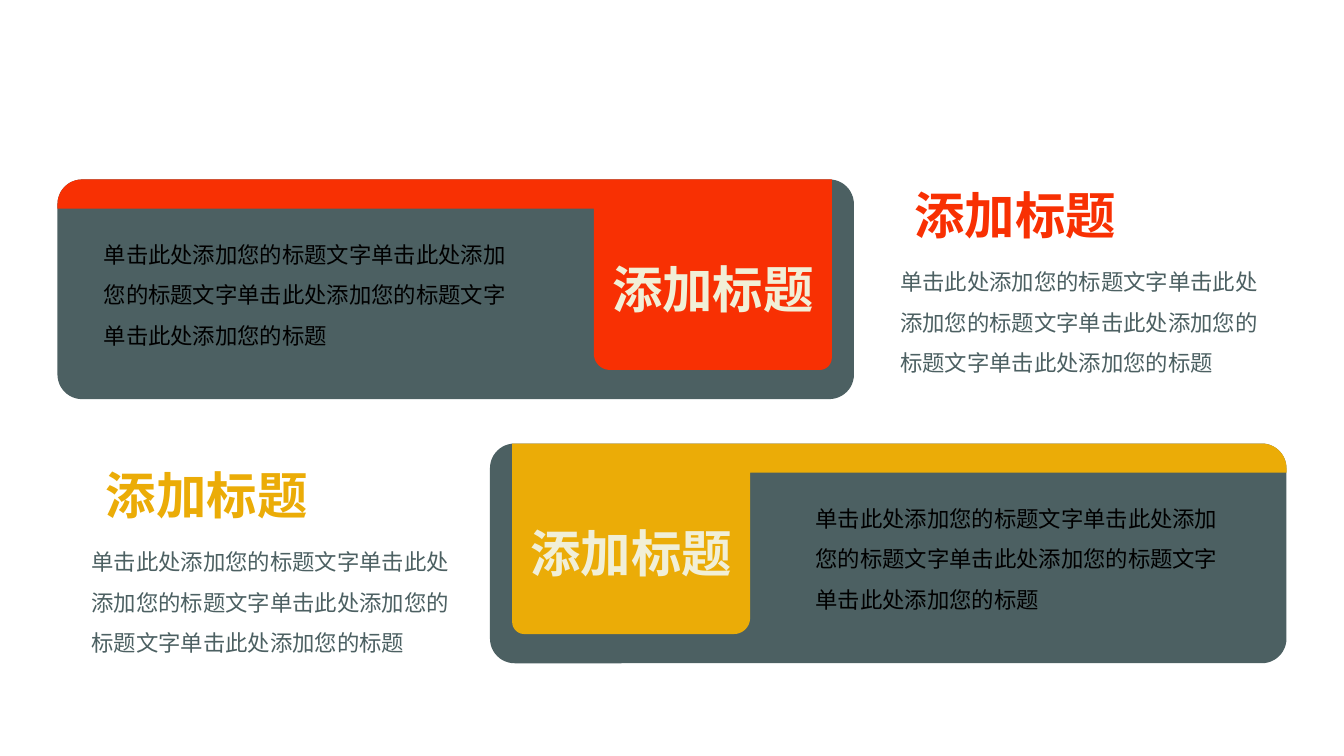
from dataclasses import dataclass
from math import cos, pi, sin

from lxml import etree
from pptx import Presentation
from pptx.dml.color import RGBColor
from pptx.enum.shapes import MSO_SHAPE
from pptx.enum.text import MSO_AUTO_SIZE, PP_ALIGN
from pptx.oxml.ns import qn
from pptx.util import Inches, Pt

ROUNDED = MSO_SHAPE.ROUNDED_RECTANGLE
GROW = MSO_AUTO_SIZE.SHAPE_TO_FIT_TEXT
LEFT, CENTER = PP_ALIGN.LEFT, PP_ALIGN.CENTER

WIDTH, HEIGHT = Inches(13.33), Inches(7.5)
CELL = HEIGHT / 75  # square grid, 75 rows high

HEADING = "添加标题"
BODY = "单击此处添加您的标题文字" * 3 + "单击此处添加您的标题"


@dataclass(frozen=True)
class Theme:
    font: str = "Noto Sans CJK SC"
    slate: str = "4C6062"
    red: str = "F83003"
    gold: str = "EBAC07"
    cream: str = "F1EFD7"
    black: str = "000000"
    heading: int = 36
    body: int = 16


THEME = Theme()

# Grid sizes shared by both cards
CARD_W, CARD_H, CORNER = 79, 21.8, 2.45
TAB_LEFT, TAB_RIGHT, TAB_H = 53.2, 76.8, 18.9
STRIP_H = 2.9
HEADING_W, HEADING_H, BODY_H = 24.8, 7.1, 13.1


def grid(*cells):
    return [round(c * CELL) for c in cells]


def paint(shape, color):
    shape.shadow.inherit = False
    shape.fill.solid()
    shape.fill.fore_color.rgb = RGBColor.from_string(color)
    shape.line.fill.background()


def arc(cx, cy, radius, start, steps=10):
    """Points of a clockwise quarter circle; start is in quarter turns."""
    angles = [(start + i / steps) * pi / 2 for i in range(steps + 1)]
    return [(cx + radius * cos(a), cy + radius * sin(a)) for a in angles]


def add_text(s, box, text, size, color, bold=False, align=LEFT, spacing=None):
    tf = s.shapes.add_textbox(*grid(*box)).text_frame
    tf.word_wrap = True
    tf.auto_size = GROW
    p = tf.paragraphs[0]
    p.alignment = align
    p.line_spacing = spacing
    r = p.add_run()
    r.text = text
    r.font.size, r.font.bold = Pt(size), bold
    r.font.color.rgb = RGBColor.from_string(color)
    r.font.name = THEME.font
    # East Asian glyphs take their own typeface
    etree.SubElement(r.font._element, qn("a:ea"), typeface=THEME.font)


def add_heading(s, x, y, color):
    add_text(s, (x, y, HEADING_W, HEADING_H), HEADING, THEME.heading, color,
             bold=True, align=CENTER)


def add_body(s, x, y, width, color):
    add_text(s, (x, y, width, BODY_H), BODY, THEME.body, color, spacing=1.5)


def add_band(s, x, y, color, mirrored):
    """Top strip that drops into a rounded tab near one end of the card."""
    outline = [
        (0, STRIP_H),
        *arc(CORNER, CORNER, CORNER, 2),
        (TAB_RIGHT, 0),
        *arc(TAB_RIGHT - 1.2, TAB_H - 1.2, 1.2, 0),
        *arc(TAB_LEFT + 1.6, TAB_H - 1.6, 1.6, 1),
        (TAB_LEFT, STRIP_H),
    ]
    points = [grid(x + (CARD_W - px if mirrored else px), y + py)
              for px, py in outline]
    builder = s.shapes.build_freeform(*points[0])
    builder.add_line_segments(points[1:], close=True)
    paint(builder.convert_to_shape(), color)


def add_card(s, x, y, color, body_x, mirrored=False):
    # Rounded panel
    panel = s.shapes.add_shape(ROUNDED, *grid(x, y, CARD_W, CARD_H))
    panel.adjustments[0] = CORNER / CARD_H
    paint(panel, THEME.slate)
    add_band(s, x, y, color, mirrored)
    # Heading centred on the tab, body beside it
    tab_center = (TAB_LEFT + TAB_RIGHT) / 2
    if mirrored:
        tab_center = CARD_W - tab_center
    add_heading(s, x + tab_center - HEADING_W / 2, y + 7.3, THEME.cream)
    add_body(s, x + body_x, y + 4.3, 42.9, THEME.black)


def add_side_note(s, x, y, color):
    add_heading(s, x, y, color)
    add_body(s, x, y + 7, 38.2, THEME.slate)


def main():
    prs = Presentation()
    prs.slide_width, prs.slide_height = WIDTH, HEIGHT
    s = prs.slides.add_slide(prs.slide_layouts[6])
    # Upper row: card, then note
    add_card(s, 5.7, 17.8, THEME.red, body_x=3.6)
    add_side_note(s, 88.3, 17.8, THEME.red)
    # Lower row: note, then mirrored card
    add_side_note(s, 8.1, 45.6, THEME.gold)
    add_card(s, 48.6, 44, THEME.gold, body_x=31.3, mirrored=True)
    prs.save("out.pptx")


if __name__ == "__main__":
    main()
